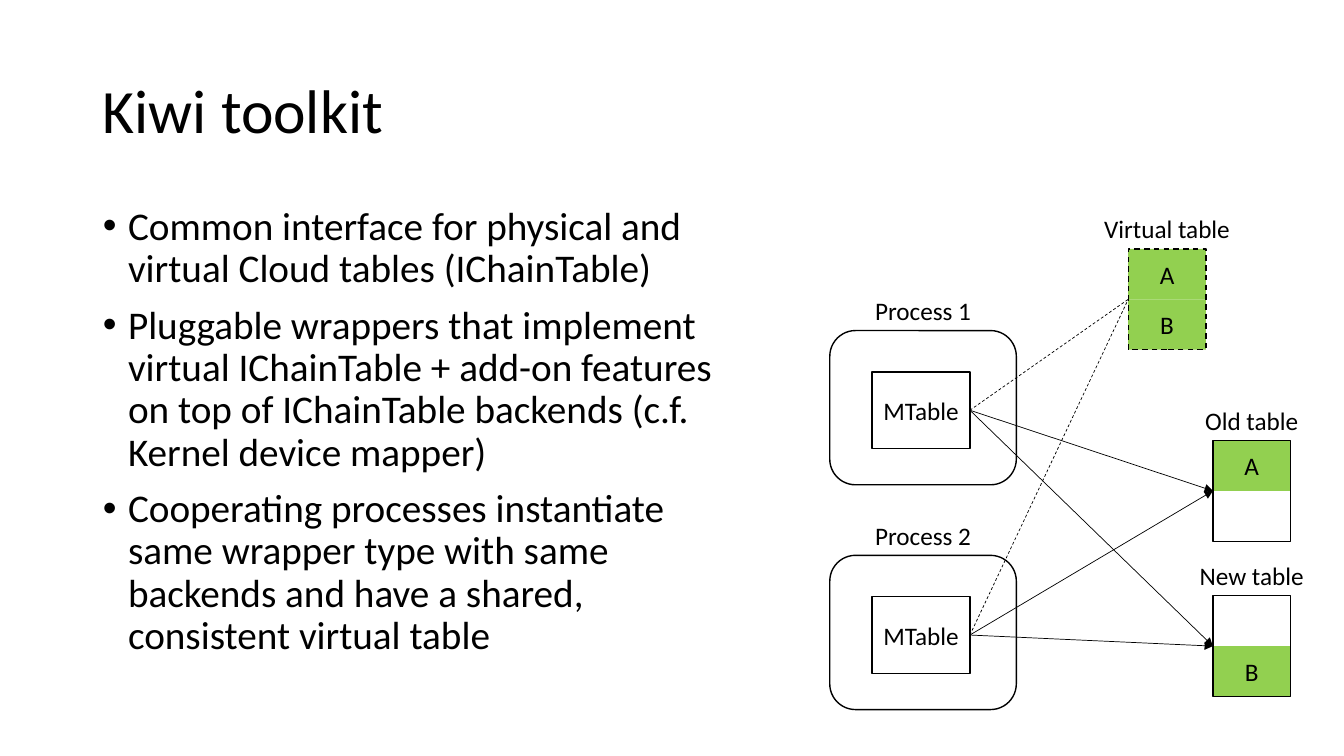
from pptx import Presentation
from pptx.dml.color import RGBColor
from pptx.enum.dml import MSO_LINE
from pptx.enum.shapes import MSO_CONNECTOR, MSO_SHAPE
from pptx.enum.text import MSO_ANCHOR, MSO_AUTO_SIZE, PP_ALIGN
from pptx.oxml.ns import qn
from pptx.util import Inches, Pt
from lxml.etree import SubElement

BLACK = RGBColor(0x00, 0x00, 0x00)
GREEN = RGBColor(0x92, 0xD0, 0x50)
FONT = "Calibri"

TITLE = "Kiwi toolkit"
BULLETS = [
    "Common interface for physical and virtual Cloud tables (IChainTable)",
    "Pluggable wrappers that implement virtual IChainTable + add-on features "
    "on top of IChainTable backends (c.f. Kernel device mapper)",
    "Cooperating processes instantiate same wrapper type with same backends "
    "and have a shared, consistent virtual table",
]
TABLES = [
    ("Old table", 12.03, 4.37, ["A", None], False),
    ("New table", 12.03, 5.91, [None, "B"], False),
    ("Virtual table", 11.19, 2.47, ["A", "B"], True),
]
PROCESSES = [("Process 1", 3.28), ("Process 2", 5.51)]

CELL_WIDTH, CELL_HEIGHT = 0.77, 0.5
PROCESS_LEFT, PROCESS_WIDTH, PROCESS_HEIGHT = 8.23, 1.85, 1.53
WRAPPER_WIDTH, WRAPPER_HEIGHT = 0.97, 0.76
LABEL_WIDTH, LABEL_HEIGHT = 1.46, 0.4

deck = Presentation()
deck.slide_width, deck.slide_height = Inches(13.33), Inches(7.5)
page = deck.slides.add_slide(deck.slide_layouts[1])


def format_text(frame, size, align):
    frame.auto_size = MSO_AUTO_SIZE.NONE
    for para in frame.paragraphs:
        para.alignment = align
        for span in para.runs:
            span.font.size = Pt(size)
            span.font.name = FONT
            span.font.color.rgb = BLACK


def place(box, left, top, width, height):
    box.left, box.top = Inches(left), Inches(top)
    box.width, box.height = Inches(width), Inches(height)


def add_box(kind, left, top, width, height, text="", fill=None, outlined=True, dashed=False):
    box = page.shapes.add_shape(kind, *map(Inches, (left, top, width, height)))
    box.shadow.inherit = False
    if fill is None:
        box.fill.background()
    else:
        box.fill.solid()
        box.fill.fore_color.rgb = fill
    if outlined:
        box.line.color.rgb = BLACK
        box.line.width = Pt(1)
        if dashed:
            box.line.dash_style = MSO_LINE.DASH
    else:
        box.line.fill.background()
    if text:
        frame = box.text_frame
        frame.text = text
        frame.word_wrap = False
        frame.vertical_anchor = MSO_ANCHOR.MIDDLE
        format_text(frame, 18, PP_ALIGN.CENTER)
    return box


def add_label(text, center, bottom):
    label = page.shapes.add_textbox(
        Inches(center - LABEL_WIDTH / 2), Inches(bottom - LABEL_HEIGHT),
        Inches(LABEL_WIDTH), Inches(LABEL_HEIGHT))
    label.text_frame.text = text
    label.text_frame.word_wrap = False
    format_text(label.text_frame, 18, PP_ALIGN.CENTER)


def add_table_box(name, left, top, cells, virtual):
    for row, text in enumerate(cells):
        if text:
            add_box(MSO_SHAPE.RECTANGLE, left, top + row * CELL_HEIGHT,
                    CELL_WIDTH, CELL_HEIGHT, text, GREEN, outlined=False)
    add_label(name, left + CELL_WIDTH / 2, top)
    return add_box(MSO_SHAPE.RECTANGLE, left, top, CELL_WIDTH,
                   CELL_HEIGHT * len(cells), dashed=virtual)


def add_process(name, top):
    add_box(MSO_SHAPE.ROUNDED_RECTANGLE, PROCESS_LEFT, top, PROCESS_WIDTH, PROCESS_HEIGHT)
    center = PROCESS_LEFT + PROCESS_WIDTH / 2
    add_label(name, center, top)
    return add_box(MSO_SHAPE.RECTANGLE, center - WRAPPER_WIDTH / 2 - 0.02,
                   top + 0.41, WRAPPER_WIDTH, WRAPPER_HEIGHT, "MTable")


def link(wrapper, table, virtual):
    line = page.shapes.add_connector(MSO_CONNECTOR.STRAIGHT, 0, 0, 0, 0)
    line.begin_connect(wrapper, 3)
    line.end_connect(table, 1)
    line.line.color.rgb = BLACK
    line.line.width = Pt(0.5)
    if virtual:
        line.line.dash_style = MSO_LINE.DASH
    else:
        SubElement(line.line._get_or_add_ln(), qn("a:tailEnd"), type="triangle")
    SubElement(line._element.spPr, qn("a:effectLst"))


title = page.shapes.title
place(title, 0.92, 0.4, 11.5, 1.45)
title.text_frame.text = TITLE
title.text_frame.vertical_anchor = MSO_ANCHOR.MIDDLE
title.text_frame.paragraphs[0].line_spacing = 0.9
format_text(title.text_frame, 44, PP_ALIGN.LEFT)

body = page.placeholders[1]
place(body, 0.92, 2, 6.35, 4.76)
body.text_frame.text = "\n".join(BULLETS)
for para in body.text_frame.paragraphs:
    para.line_spacing = 0.9
    para.space_before = Pt(10)
    properties = para._p.get_or_add_pPr()
    properties.set("marL", str(Inches(0.25)))
    properties.set("indent", str(-Inches(0.25)))
    SubElement(properties, qn("a:buFont"), typeface="Arial")
    SubElement(properties, qn("a:buChar"), char="•")
format_text(body.text_frame, 28, PP_ALIGN.LEFT)

tables = [(add_table_box(*table), table[-1]) for table in TABLES]
wrappers = [add_process(*process) for process in PROCESSES]
for wrapper in wrappers:
    for table, virtual in tables:
        link(wrapper, table, virtual)

deck.save("out.pptx")
